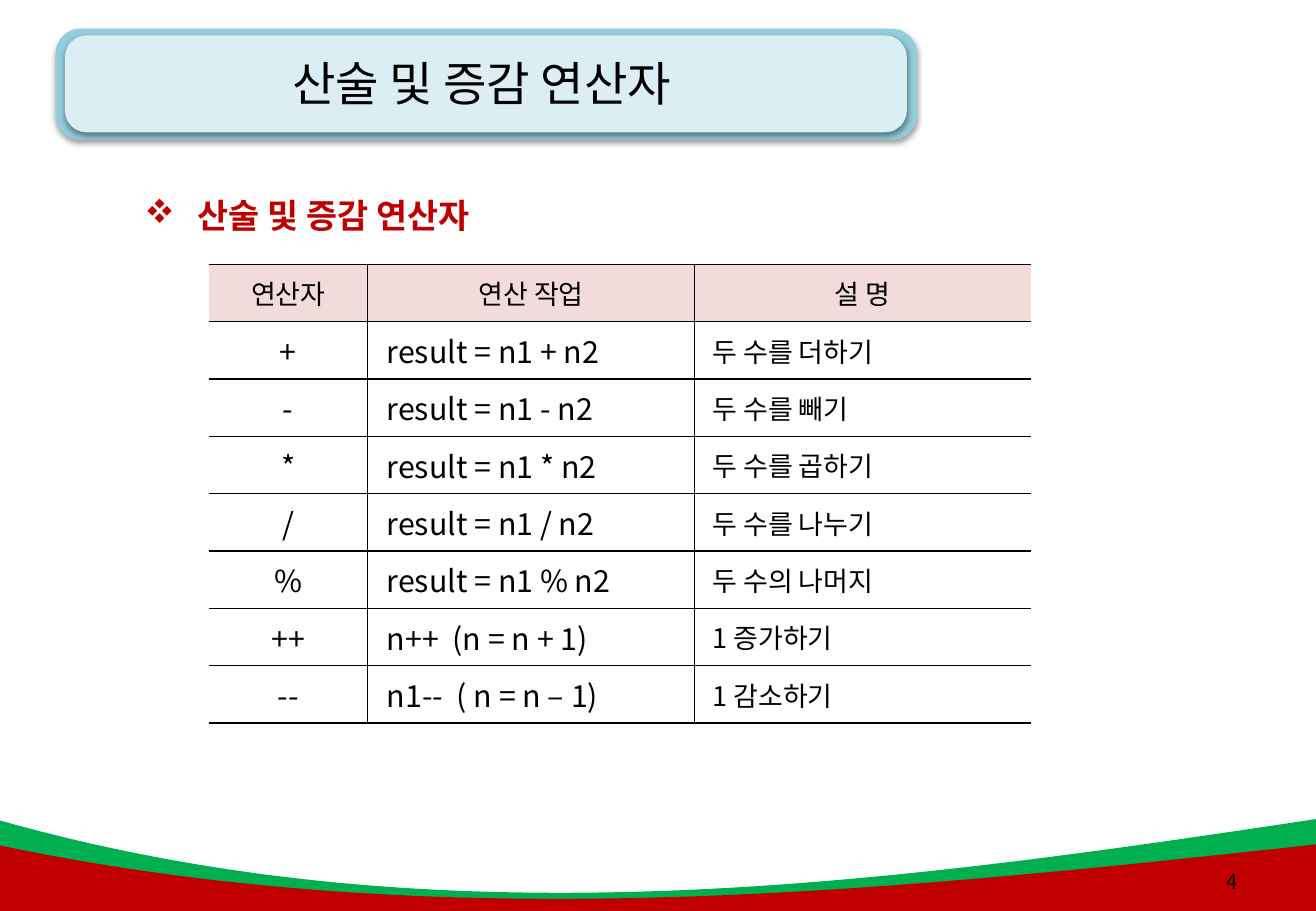
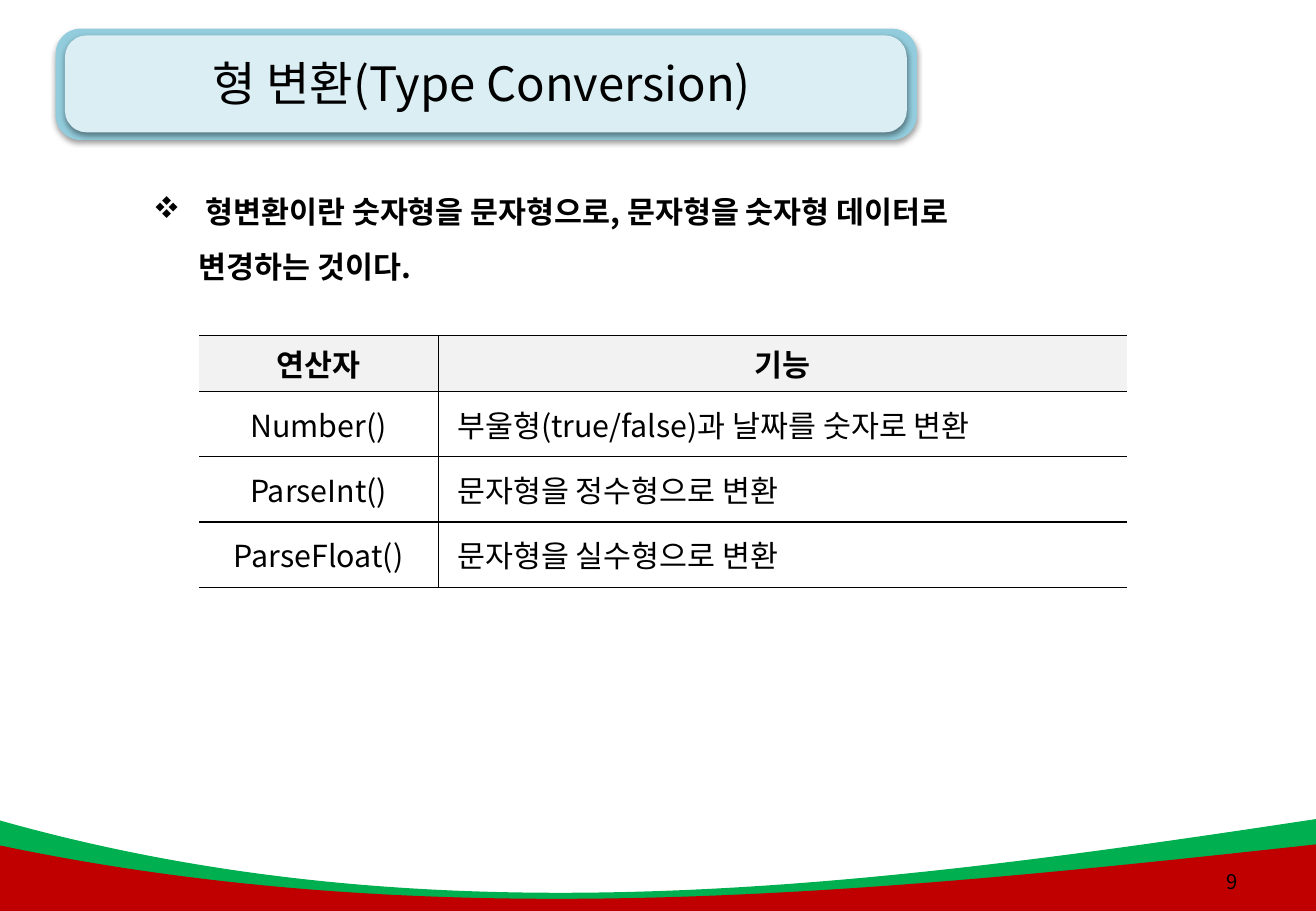
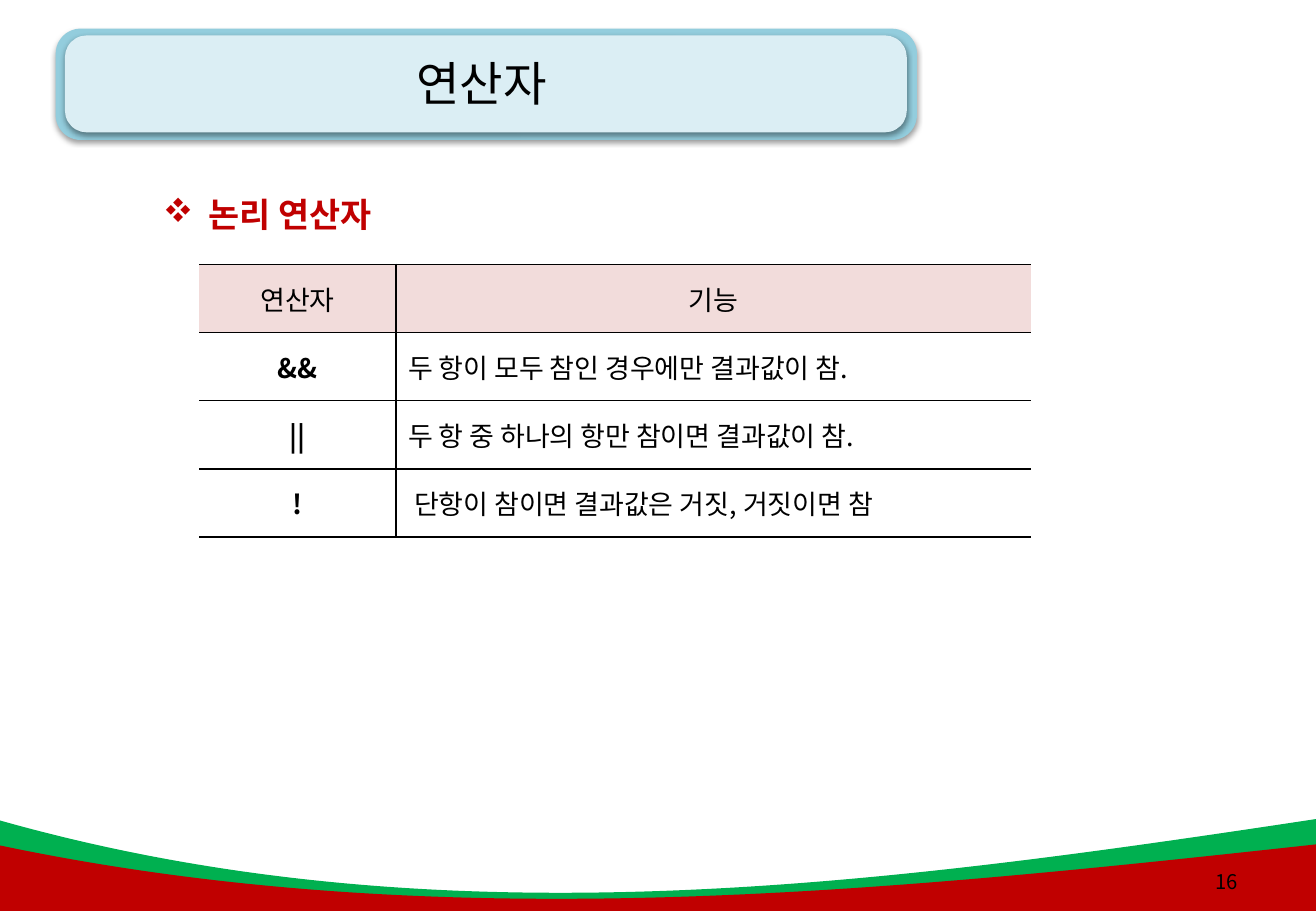
from lxml import etree
from pptx import Presentation
from pptx.dml.color import RGBColor
from pptx.enum.shapes import MSO_SHAPE
from pptx.enum.text import MSO_ANCHOR, MSO_AUTO_SIZE, PP_ALIGN
from pptx.oxml.ns import qn
from pptx.util import Pt

FONT = "Noto Sans CJK KR"
BLACK = RGBColor(0x00, 0x00, 0x00)
RED = RGBColor(0xC0, 0x00, 0x00)
GREEN = RGBColor(0x00, 0xB0, 0x50)
TEAL = RGBColor(0x93, 0xCD, 0xDD)
PALE_TEAL = RGBColor(0xDB, 0xEE, 0xF4)
PINK = RGBColor(0xF2, 0xDC, 0xDB)
GRAY = RGBColor(0xF2, 0xF2, 0xF2)

ROUND_RECT = MSO_SHAPE.ROUNDED_RECTANGLE
MIDDLE, TOP = MSO_ANCHOR.MIDDLE, MSO_ANCHOR.TOP
LEFT, CENTER, RIGHT = PP_ALIGN.LEFT, PP_ALIGN.CENTER, PP_ALIGN.RIGHT
NO_FIT = MSO_AUTO_SIZE.NONE

WIDTH, HEIGHT = 780, 540
TITLE_BOX = (33, 15.5, 505, 67.5)
NUMBER_BOX = (697, 508, 44, 28.5)


def pts(*values):
    """Turn numbers of points into lengths."""
    return [Pt(v) for v in values]


def place(sp, box):
    """Move and size a shape to a box in points."""
    sp.left, sp.top, sp.width, sp.height = pts(*box)


def style(p, size, color=BLACK, bold=False, align=LEFT):
    """Set the alignment and font of a paragraph."""
    p.alignment = align
    p.font.name, p.font.size, p.font.bold = FONT, Pt(size), bold
    p.font.color.rgb = color
    props = p._p.get_or_add_pPr().find(qn("a:defRPr"))
    props.set("kern", "0")
    etree.SubElement(props, qn("a:ea"), typeface=FONT)


def add_panel(shapes, box, color):
    """Draw a rounded panel with a soft shadow below it."""
    sp = shapes.add_shape(ROUND_RECT, *pts(*box))
    sp.adjustments[0] = 0.225
    sp.fill.solid()
    sp.fill.fore_color.rgb = color
    sp.line.fill.background()
    sp.shadow.inherit = False
    effects = sp.element.spPr.find(qn("a:effectLst"))
    shadow = etree.SubElement(effects, qn("a:outerShdw"), blurRad=str(Pt(3.1)),
                              dist=str(Pt(1.6)), dir="5400000", rotWithShape="0")
    black = etree.SubElement(shadow, qn("a:srgbClr"), val=str(BLACK))
    etree.SubElement(black, qn("a:alpha"), val="38000")


def add_wave(shapes, box, dips, color):
    """Draw a band whose top sags along one cubic curve."""
    left, top, width, height = pts(*box)
    builder = shapes.build_freeform(left, top)
    builder.add_line_segments([(left + width, top), (left + width, top + height),
                               (left, top + height)])
    sp = builder.convert_to_shape()
    sp.fill.solid()
    sp.fill.fore_color.rgb = color
    sp.line.fill.background()
    sp.shadow.inherit = False
    edge = sp.element.spPr.find(".//" + qn("a:lnTo"))
    edge.tag = qn("a:cubicBezTo")
    for i, (part, dip) in enumerate(zip((1 / 3, 2 / 3), dips)):
        control = etree.Element(qn("a:pt"), x=str(int(width * part)), y=str(Pt(dip)))
        edge.insert(i, control)


def add_frame(layout, slide):
    """Draw the waves and title panel and hand them to the layout."""
    shapes = slide.shapes
    own = len(shapes)
    add_wave(shapes, (-3, 485.5, 783, 54.5), (74.5, 39.5), GREEN)
    add_panel(shapes, (33, 17, 510.5, 66), TEAL)
    add_panel(shapes, (38.5, 21, 499, 57.5), PALE_TEAL)
    add_wave(shapes, (-3, 500.5, 783, 40), (55.5, 28.5), RED)
    for i, sp in enumerate(list(shapes)[own:]):
        sp.element.nvSpPr.cNvPr.id = 20 + i
        layout.shapes.element.insert(2 + i, sp.element)


def add_title(slide, text):
    """Fill the title placeholder."""
    sp = slide.shapes.title
    place(sp, TITLE_BOX)
    tf = sp.text_frame
    tf.text = text
    tf.auto_size, tf.vertical_anchor = NO_FIT, MIDDLE
    style(tf.paragraphs[0], 28, align=CENTER)


def add_number(slide, number):
    """Write the page number in the lower right corner."""
    tf = slide.shapes.add_textbox(*pts(*NUMBER_BOX)).text_frame
    tf.word_wrap, tf.vertical_anchor = True, MIDDLE
    tf.text = str(number)
    style(tf.paragraphs[0], 12, align=RIGHT)


def add_lead(slide, box, text, size, color, spacing=1.5, hang=27):
    """Fill the body placeholder with one diamond-bulleted line."""
    sp = slide.placeholders[1]
    place(sp, box)
    tf = sp.text_frame
    tf.text = text
    tf.auto_size, tf.vertical_anchor = NO_FIT, TOP
    p = tf.paragraphs[0]
    props = p._p.get_or_add_pPr()
    props.set("marL", str(Pt(hang)))
    props.set("indent", str(-Pt(hang)))
    etree.SubElement(props, qn("a:buFont"), typeface="Wingdings", charset="2")
    etree.SubElement(props, qn("a:buChar"), char="v")
    p.line_spacing = spacing
    p.space_before = Pt(0)
    style(p, size, color, True)


def set_borders(cell, first, last):
    """Rule a cell on all sides but the outer left and right."""
    props = cell._tc.get_or_add_tcPr()
    for side, hidden in (("L", first), ("R", last), ("T", False), ("B", False)):
        ln = etree.SubElement(props, qn("a:ln" + side), w=str(Pt(1)))
        if hidden:
            etree.SubElement(ln, qn("a:noFill"))
        else:
            fill = etree.SubElement(ln, qn("a:solidFill"))
            etree.SubElement(fill, qn("a:srgbClr"), val=str(BLACK))


def add_grid(slide, origin, widths, heights, rows, sizes, head):
    """Draw an operator table with a tinted heading row."""
    head_size, head_color, head_bold, key_bold = head
    box = (*origin, sum(widths), sum(heights))
    table = slide.shapes.add_table(len(rows), len(widths), *pts(*box)).table
    table.first_row = table.horz_banding = False
    for column, width in zip(table.columns, widths):
        column.width = Pt(width)
    for i, (row, height) in enumerate(zip(rows, heights)):
        table.rows[i].height = Pt(height)
        for j, text in enumerate(row):
            cell = table.cell(i, j)
            cell.text, cell.vertical_anchor = text, MIDDLE
            set_borders(cell, j == 0, j == len(row) - 1)
            p = cell.text_frame.paragraphs[0]
            if i == 0:
                cell.fill.solid()
                cell.fill.fore_color.rgb = head_color
                style(p, head_size, bold=head_bold, align=CENTER)
            else:
                cell.fill.background()
                style(p, sizes[j], bold=key_bold and j == 0, align=LEFT if j else CENTER)


SLIDES = [
    dict(
        title="산술 및 증감 연산자", number=4,
        lead=dict(box=(78.5, 100, 363, 44), text=" 산술 및 증감 연산자", size=20, color=RED),
        grid=dict(
            origin=(123.7, 156.7), widths=(94.3, 193.6, 199.4), heights=[34] * 8,
            sizes=(18, 18, 16), head=(16, PINK, False, False),
            rows=[
                ("연산자", "연산 작업", "설 명"),
                ("+", " result = n1 + n2", " 두 수를 더하기"),
                ("-", " result = n1 - n2", " 두 수를 빼기"),
                ("*", " result = n1 * n2", " 두 수를 곱하기"),
                ("/", " result = n1 / n2", " 두 수를 나누기"),
                ("%", " result = n1 % n2", " 두 수의 나머지"),
                ("++", " n++  (n = n + 1)", " 1 증가하기"),
                ("--", " n1--  ( n = n – 1)", " 1 감소하기"),
            ])),
    dict(
        title="형 변환(Type Conversion)", number=9,
        lead=dict(
            box=(83.5, 100, 533, 68.5), size=18, color=BLACK,
            text=" 형변환이란 숫자형을 문자형으로, 문자형을 숫자형 데이터로 변경하는 것이다."),
        grid=dict(
            origin=(118, 198.7), widths=(141.8, 408.2), heights=[33.25] + [38.75] * 3,
            sizes=(18, 18), head=(18, GRAY, True, False),
            rows=[
                ("연산자", "기능"),
                ("Number()", " 부울형(true/false)과 날짜를 숫자로 변환"),
                ("ParseInt()", " 문자형을 정수형으로 변환"),
                ("ParseFloat()", " 문자형을 실수형으로 변환"),
            ])),
    dict(
        title="연산자", number=16,
        lead=dict(box=(89.5, 111.5, 175.5, 31.5), text=" 논리 연산자", size=20,
                  color=RED, spacing=1.0, hang=22.5),
        grid=dict(
            origin=(118, 156.7), widths=(116.7, 376.3), heights=[40.4] * 4,
            sizes=(16, 16), head=(16, PINK, False, True),
            rows=[
                ("연산자", "기능"),
                ("&&", "두 항이 모두 참인 경우에만 결과값이 참."),
                ("||", "두 항 중 하나의 항만 참이면 결과값이 참."),
                ("!", " 단항이 참이면 결과값은 거짓, 거짓이면 참"),
            ])),
]


def main():
    """Build the slides and save them."""
    prs = Presentation()
    prs.slide_width, prs.slide_height = pts(WIDTH, HEIGHT)
    layout = prs.slide_layouts[1]
    for i, content in enumerate(SLIDES):
        slide = prs.slides.add_slide(layout)
        if i == 0:
            add_frame(layout, slide)
        add_title(slide, content["title"])
        add_number(slide, content["number"])
        add_lead(slide, **content["lead"])
        add_grid(slide, **content["grid"])
    prs.save("out.pptx")


if __name__ == "__main__":
    main()
